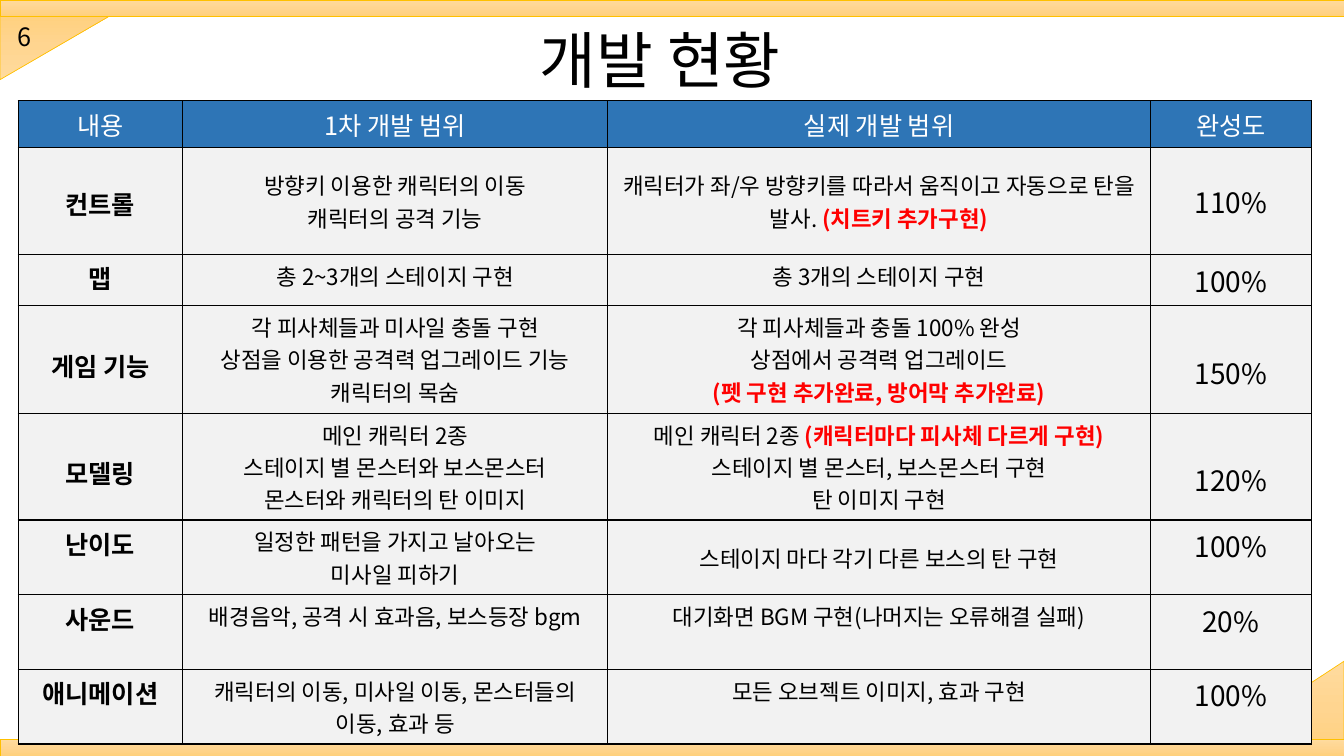
from copy import deepcopy

from lxml.etree import SubElement
from pptx import Presentation
from pptx.dml.color import RGBColor
from pptx.enum.shapes import MSO_SHAPE as Shape
from pptx.enum.text import MSO_ANCHOR as Anchor, PP_ALIGN as Align
from pptx.oxml.ns import qn
from pptx.util import Inches, Pt

COLORS = {
    "black": "000000", "white": "FFFFFF", "red": "FF0000",
    "header": "2E75B6", "body": "F2F2F2", "edge": "FFC000",
    "light": "FFDB9E", "middle": "FFD590", "deep": "FFD07C",
}
FONT = "Noto Sans CJK KR"
LINE_FACTOR = 1.45  # line height of the font per point of size
CELL_MARGIN = 3.6

# Widths and heights are percent of the slide. A "|" starts the red part of a line.
COLUMN_WIDTHS = [12.23, 31.65, 40.36, 12]
HEADINGS = ["내용", "1차 개발 범위", "실제 개발 범위", "완성도"]
HEADER_HEIGHT = 6.2
BODY_SIZES = [18, 16, 16, 20]
LEVEL = (0, 0, 0, 0)

# Row height, points each cell's text is lowered by, cell texts
ROWS = [
    (14.13, (16, 8, 8, 14),
     ["컨트롤", "방향키 이용한 캐릭터의 이동\n캐릭터의 공격 기능",
      "캐릭터가 좌/우 방향키를 따라서 움직이고 자동으로 탄을 발사. |(치트키 추가구현)", "110%"]),
    (6.8, LEVEL,
     ["맵", "총 2~3개의 스테이지 구현", "총 3개의 스테이지 구현", "100%"]),
    (14.2, (18, 0, 0, 20),
     ["게임 기능",
      "각 피사체들과 미사일 충돌 구현\n상점을 이용한 공격력 업그레이드 기능\n캐릭터의 목숨",
      "각 피사체들과 충돌 100% 완성\n상점에서 공격력 업그레이드\n|(펫 구현 추가완료, 방어막 추가완료)",
      "150%"]),
    (14.13, (18, 0, 0, 20),
     ["모델링",
      "메인 캐릭터 2종\n스테이지 별 몬스터와 보스몬스터\n몬스터와 캐릭터의 탄 이미지",
      "메인 캐릭터 2종 |(캐릭터마다 피사체 다르게 구현)\n스테이지 별 몬스터, 보스몬스터 구현\n탄 이미지 구현",
      "120%"]),
    (9.87, (0, 0, 8, 0),
     ["난이도", "일정한 패턴을 가지고 날아오는\n미사일 피하기",
      "스테이지 마다 각기 다른 보스의 탄 구현", "100%"]),
    (9.87, LEVEL,
     ["사운드", "배경음악, 공격 시 효과음, 보스등장 bgm",
      "대기화면 BGM 구현(나머지는 오류해결 실패)", "20%"]),
    (9.87, LEVEL,
     ["애니메이션", "캐릭터의 이동, 미사일 이동, 몬스터들의 이동, 효과 등",
      "모든 오브젝트 이미지, 효과 구현", "100%"]),
]


def color(name):
    return RGBColor.from_string(COLORS[name])


def write(frame, text, size=16, ink="black", bold=False, font=FONT,
          align=Align.CENTER, spacing=None, before=None):
    """Fill a text frame; each line is a paragraph, with "|" before its red part."""
    for index, line in enumerate(text.split("\n")):
        paragraph = frame.add_paragraph() if index else frame.paragraphs[0]
        paragraph.alignment = align
        paragraph.line_spacing = spacing
        paragraph.space_before = before
        plain, _, red = line.partition("|")
        for part, part_ink, part_bold in ((plain, ink, bold), (red, "red", True)):
            if part:
                run = paragraph.add_run()
                run.text = part
                run.font.size = Pt(size)
                run.font.bold = part_bold
                run.font.color.rgb = color(part_ink)
                run.font.name = font
                SubElement(run.font._element, qn("a:ea"), typeface=FONT)


class StatusSlide:
    def __init__(self, presentation):
        self.width = presentation.slide_width
        self.height = presentation.slide_height
        self.slide = presentation.slides.add_slide(presentation.slide_layouts[6])
        self.shapes = self.slide.shapes

    def across(self, percent):
        return round(self.width * percent / 100)

    def down(self, percent):
        return round(self.height * percent / 100)

    def box(self, left, top, width, height):
        return self.across(left), self.down(top), self.across(width), self.down(height)

    def ornament(self, kind, place, rotation=0):
        shape = self.shapes.add_shape(kind, *self.box(*place))
        shape.shadow.inherit = False
        shape.rotation = rotation
        if kind == Shape.ISOSCELES_TRIANGLE:
            shape.adjustments[0] = 1
        shape.line.color.rgb = color("edge")
        shape.line.width = Pt(0.5)
        shape.fill.gradient()
        shape.fill.gradient_angle = 270
        stops = next(shape.element.iter(qn("a:gsLst")))
        stops.insert(1, deepcopy(stops[0]))
        for stop, name, position in zip(shape.fill.gradient_stops,
                                        ("light", "middle", "deep"), (0, 0.5, 1)):
            stop.color.rgb = color(name)
            stop.position = position

    def text(self, place, text, anchor=Anchor.TOP, **style):
        frame = self.shapes.add_textbox(*self.box(*place)).text_frame
        frame.word_wrap = True
        frame.vertical_anchor = anchor
        write(frame, text, **style)

    def cell(self, cell, text, fill, drop=0, **style):
        properties = cell._tc.get_or_add_tcPr()
        for side in ("lnL", "lnR", "lnT", "lnB"):
            border = SubElement(properties, qn(f"a:{side}"), w=str(Pt(1)))
            solid = SubElement(border, qn("a:solidFill"))
            SubElement(solid, qn("a:srgbClr"), val=COLORS["black"])
        cell.fill.solid()
        cell.fill.fore_color.rgb = color(fill)
        cell.margin_top = Pt(CELL_MARGIN + drop * LINE_FACTOR)
        write(cell.text_frame, text, **style)

    def table(self, left, top):
        heights = [HEADER_HEIGHT] + [height for height, _, _ in ROWS]
        place = self.box(left, top, sum(COLUMN_WIDTHS), sum(heights))
        table = self.shapes.add_table(len(heights), len(COLUMN_WIDTHS), *place).table
        table.horz_banding = False
        for column, width in zip(table.columns, COLUMN_WIDTHS):
            column.width = self.across(width)
        for row, height in zip(table.rows, heights):
            row.height = self.down(height)
        for column, heading in enumerate(HEADINGS):
            self.cell(table.cell(0, column), heading, "header", size=18, ink="white")
        for row, (_, drops, texts) in enumerate(ROWS, 1):
            for column, (text, drop, size) in enumerate(zip(texts, drops, BODY_SIZES)):
                self.cell(table.cell(row, column), text, "body", drop,
                          size=size, bold=column == 0)


def main():
    presentation = Presentation()
    presentation.slide_width = Inches(13.33)
    presentation.slide_height = Inches(7.5)
    status = StatusSlide(presentation)
    status.ornament(Shape.ISOSCELES_TRIANGLE, (0, 1.47, 8.78, 9.07), rotation=180)
    status.ornament(Shape.RECTANGLE, (0, 0, 100, 2.13))
    status.ornament(Shape.ISOSCELES_TRIANGLE, (89.25, 87.47, 10.75, 12.53))
    status.ornament(Shape.RECTANGLE, (0, 97.87, 100, 2.13))
    status.table(1.35, 13.33)
    status.text((0.53, 2.13, 3.83, 5.33), "6", size=18, align=Align.LEFT)
    status.text((37.8, 0, 22.65, 16.93), "개발 현황", Anchor.MIDDLE, size=44,
                font="Arial", spacing=0.9, before=Pt(10))
    presentation.save("out.pptx")


if __name__ == "__main__":
    main()
